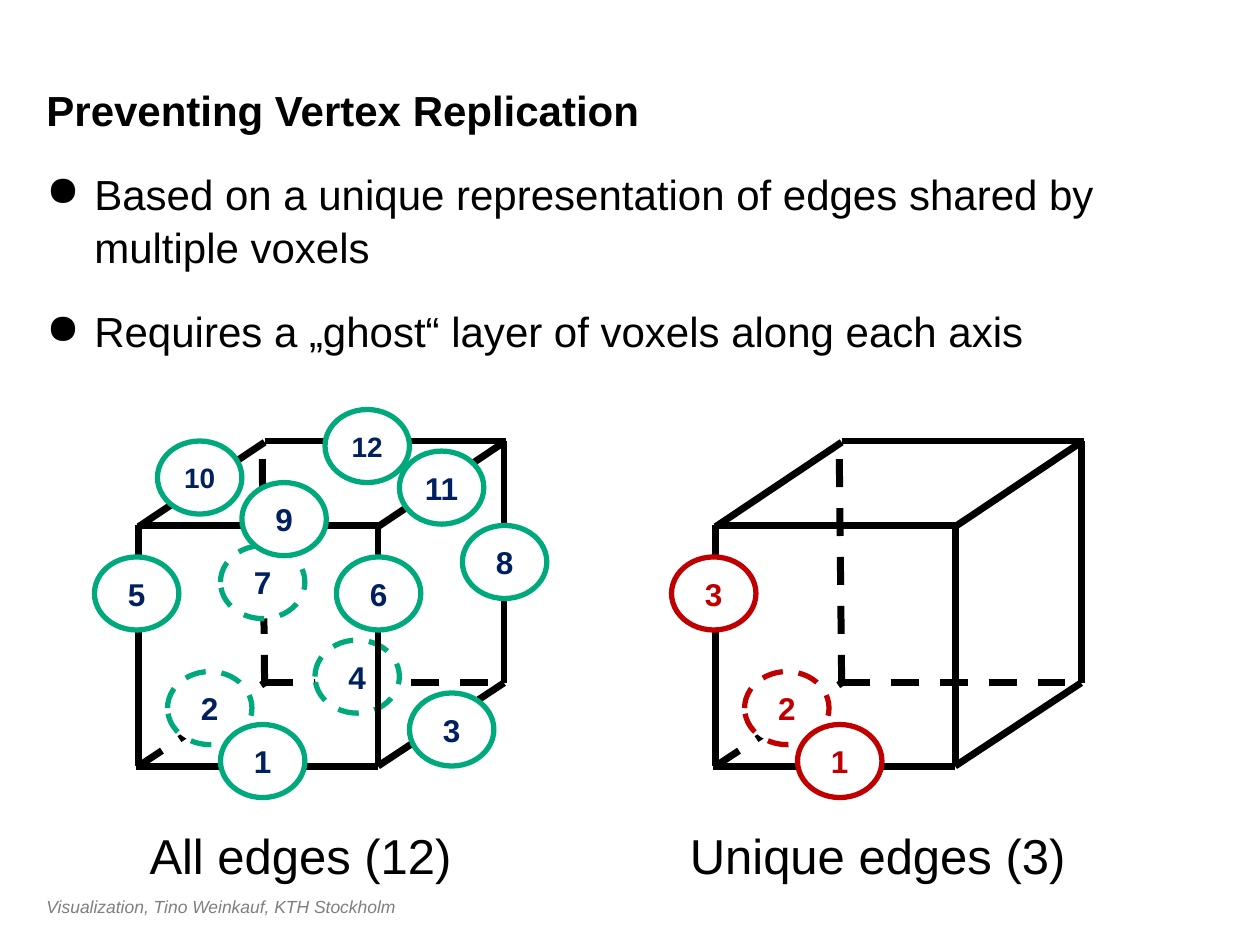
"""Build the slide on preventing vertex replication: two cubes with numbered edges."""
import pptx
import pptx.dml.color
import pptx.enum.dml
import pptx.enum.shapes
import pptx.enum.text
import pptx.oxml.ns
import pptx.util
from lxml import etree

Inches, Pt = pptx.util.Inches, pptx.util.Pt
Rgb = pptx.dml.color.RGBColor.from_string
Align = pptx.enum.text.PP_ALIGN
Dash = pptx.enum.dml.MSO_LINE.DASH
qn = pptx.oxml.ns.qn

theme = {
    "font": "Arial",
    "ink": "000000", "grey": "7F7F7F", "paper": "FFFFFF",
    "green": "00A97C", "navy": "002060", "red": "C00000",
    "foot": 10, "small": 16, "label": 18, "body": 24, "caption": 28,
}


def write(para, text, size, color, **style):
    run = para.add_run()
    run.text = text
    looks = {"name": theme["font"], "size": Pt(theme[size]), **style}
    for key, value in looks.items():
        setattr(run.font, key, value)
    run.font.color.rgb = Rgb(theme[color])


def trace(line, color, width, dashed):
    line.color.rgb = Rgb(theme[color])
    line.width = Pt(width)
    if dashed:
        line.dash_style = Dash.DASH


deck = pptx.Presentation()
deck.slide_width, deck.slide_height = Inches(10), Inches(7.5)
slide = deck.slides.add_slide(deck.slide_layouts[6])
shapes = slide.shapes

foot = shapes.add_textbox(Inches(0.27), Inches(7.06), Inches(7.39), Inches(0.27))
foot.text_frame.word_wrap = True
write(foot.text_frame.paragraphs[0], "Visualization, Tino Weinkauf, KTH Stockholm",
      "foot", "grey", italic=True)

body = shapes.add_textbox(Inches(0.27), Inches(0.6), Inches(9.45), Inches(6.3))
frame = body.text_frame
frame.word_wrap = True
title = frame.paragraphs[0]
title.line_spacing = 1.05
write(title, "Preventing Vertex Replication", "body", "ink", bold=True)
points = [
    "Based on a unique representation of edges shared by multiple voxels",
    "Requires a „ghost“ layer of voxels along each axis",
]
for point in points:
    para = frame.add_paragraph()
    for key, value in {"line_spacing": 1.05, "space_before": Pt(18)}.items():
        setattr(para, key, value)
    props = para._p.get_or_add_pPr()
    props.set("marL", str(Inches(0.38)))
    props.set("indent", str(-Inches(0.38)))
    etree.SubElement(props, qn("a:buChar")).set("char", "●")
    write(para, point, "body", "ink")

edges = [
    (1.08, 6.08, 3, 6.08, False),
    (1.1, 4.17, 3.02, 4.17, False),
    (2.1, 3.5, 4.02, 3.5, False),
    (2.1, 5.42, 4.02, 5.42, True),
    (1.1, 4.17, 1.1, 6.08, False),
    (4, 3.5, 4, 5.42, False),
    (3, 6.08, 4, 5.42, False),
    (3, 4.18, 4, 3.51, False),
    (1.1, 4.18, 2.1, 3.51, False),
    (1.1, 6.08, 2.1, 5.42, True),
    (2.1, 5.42, 2.08, 3.5, True),
]
front = (3, 4.17, 3, 6.08, False)

cubes = [
    {
        "shift": 0, "ring": "green", "text": "navy", "name": "All edges (12)",
        "back": [(2, 1.33, 5.33), (3, 3.25, 5.5), (4, 2.5, 5.08),
                 (5, 0.75, 4.42), (1, 1.75, 5.75)],
        "fore": [(6, 2.67, 4.42), (8, 3.67, 4.17), (7, 1.75, 4.33),
                 (10, 1.25, 3.5), (11, 3.17, 3.58), (12, 2.58, 3.25),
                 (9, 1.92, 3.83)],
    },
    {
        "shift": 4.58, "ring": "red", "text": "red", "name": "Unique edges (3)",
        "back": [(2, 1.33, 5.33), (3, 0.75, 4.42), (1, 1.75, 5.75)],
        "fore": [],
    },
]
hidden = {2, 4, 7}
snug = {"margin_left": 0, "margin_right": 0, "margin_top": 0, "margin_bottom": 0,
        "word_wrap": True, "vertical_anchor": pptx.enum.text.MSO_ANCHOR.MIDDLE}

for cube in cubes:
    shift = cube["shift"]
    for item in edges + cube["back"] + [front] + cube["fore"]:
        if len(item) == 5:
            left, top, right, low, dashed = item
            edge = shapes.add_connector(
                pptx.enum.shapes.MSO_CONNECTOR.STRAIGHT,
                Inches(left + shift), Inches(top), Inches(right + shift), Inches(low))
            trace(edge.line, "ink", 4, dashed)
            etree.SubElement(edge._element.spPr, qn("a:effectLst"))
        else:
            number, left, top = item
            disc = shapes.add_shape(
                pptx.enum.shapes.MSO_SHAPE.OVAL,
                Inches(left + shift), Inches(top), Inches(0.67), Inches(0.58))
            disc.shadow.inherit = False
            disc.fill.solid()
            disc.fill.fore_color.rgb = Rgb(theme["paper"])
            trace(disc.line, cube["ring"], 3, number in hidden)
            for key, value in snug.items():
                setattr(disc.text_frame, key, value)
            para = disc.text_frame.paragraphs[0]
            para.alignment = Align.CENTER
            size = "small" if number in (10, 12) else "label"
            write(para, str(number), size, cube["text"], bold=True)
    label = shapes.add_textbox(
        Inches(0.75 + shift), Inches(6.5), Inches(3.27), Inches(0.57))
    label.text_frame.word_wrap = True
    para = label.text_frame.paragraphs[0]
    para.alignment = Align.CENTER
    write(para, cube["name"], "caption", "ink")

deck.save("out.pptx")
